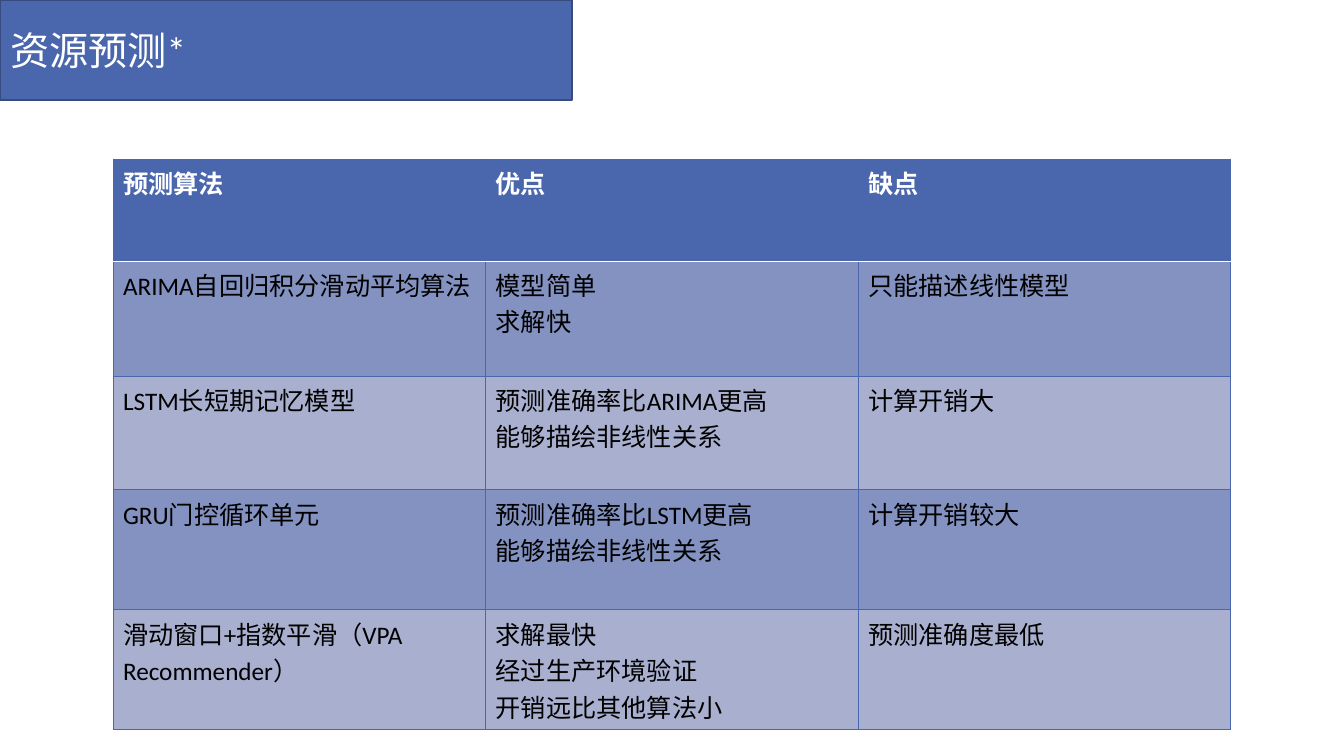
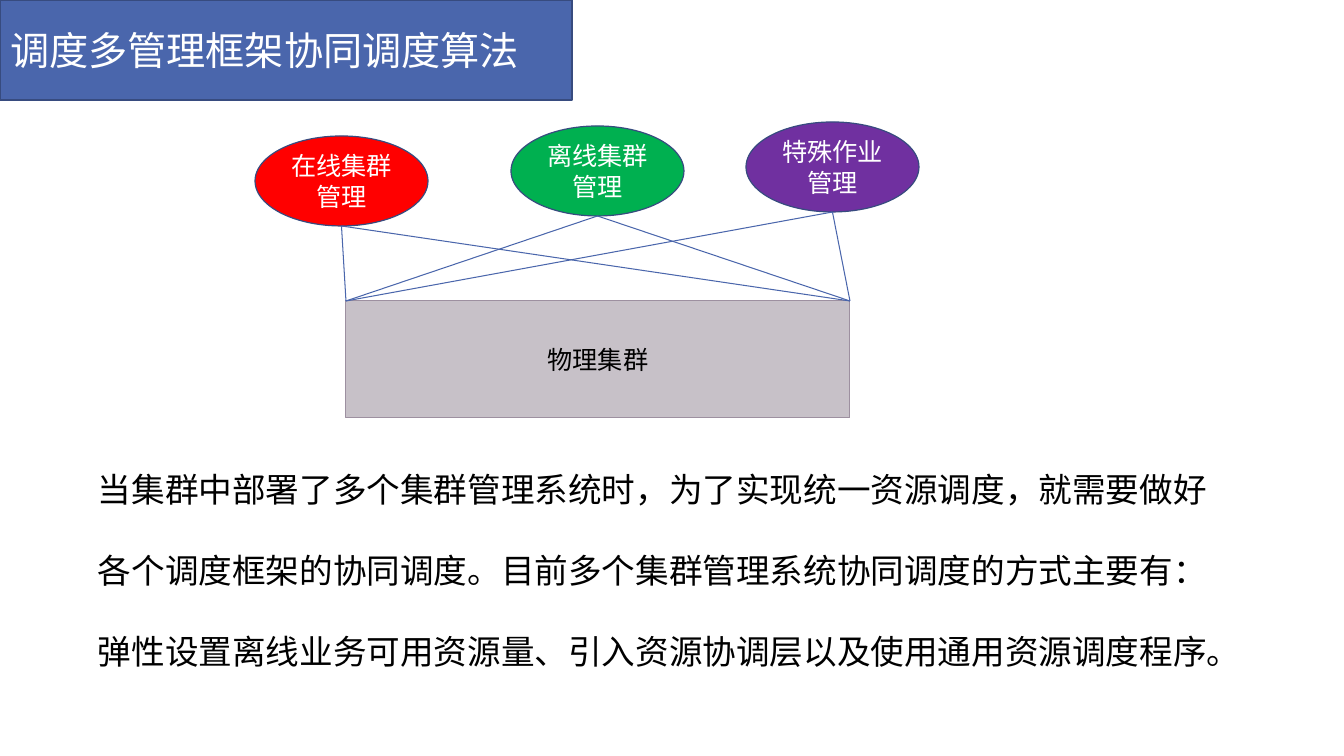
from dataclasses import dataclass
from itertools import product

from lxml import etree
from pptx import Presentation
from pptx.dml.color import RGBColor
from pptx.enum.shapes import MSO_CONNECTOR, MSO_SHAPE
from pptx.enum.text import MSO_ANCHOR, MSO_AUTO_SIZE, PP_ALIGN
from pptx.oxml.ns import qn
from pptx.util import Pt

LEFT, CENTER = PP_ALIGN.LEFT, PP_ALIGN.CENTER
TOP, MIDDLE = MSO_ANCHOR.TOP, MSO_ANCHOR.MIDDLE
NO_FIT = MSO_AUTO_SIZE.NONE
RECT, OVAL = MSO_SHAPE.RECTANGLE, MSO_SHAPE.OVAL
STRAIGHT = MSO_CONNECTOR.STRAIGHT
SCALE = 914400 / 100.8


@dataclass(frozen=True)
class Theme:
    blue: str = "4A66AC"
    edge: str = "374B7F"
    dark: str = "8392C0"
    light: str = "A9AFCE"
    gray: str = "C7C1C8"
    rim: str = "9D90A0"
    white: str = "FFFFFF"
    black: str = "000000"
    font: str = "Calibri"
    asian: str = "Noto Sans CJK SC"
    head: int = 28
    body: int = 24
    small: int = 18
    thin: float = 0.75
    line: float = 0.85
    loose: float = 2.0


THEME = Theme()

BAND = (0, 0, 572, 100)
TITLES = ["资源预测*", "调度多管理框架协同调度算法"]

ROWS = [
    ("预测算法", "优点", "缺点"),
    ("ARIMA自回归积分滑动平均算法", "模型简单\n求解快", "只能描述线性模型"),
    ("LSTM长短期记忆模型", "预测准确率比ARIMA更高\n能够描绘非线性关系", "计算开销大"),
    ("GRU门控循环单元", "预测准确率比LSTM更高\n能够描绘非线性关系", "计算开销较大"),
    ("滑动窗口+指数平滑（VPA Recommender）",
     "求解最快\n经过生产环境验证\n开销远比其他算法小", "预测准确度最低"),
]
GRID = (113, 159)
WIDE = 1118
TALL = [102, 115, 114, 120, 119]

NODES = [
    ("在线集群管理", 255, 136, "FF0000"),
    ("离线集群管理", 511, 126, "00B050"),
    ("特殊作业管理", 746, 122, "7030A0"),
]
NODE_W, NODE_H = 173, 90
BASE = ("物理集群", (346, 301, 504, 117))
NOTE_BOX = (88, 424, 1144, 240)
NOTE = ("当集群中部署了多个集群管理系统时，为了实现统一资源调度，就需要做好"
        "各个调度框架的协同调度。目前多个集群管理系统协同调度的方式主要有："
        "弹性设置离线业务可用资源量、引入资源协调层以及使用通用资源调度程序。")


def px(*nums):
    return [round(num * SCALE) for num in nums]


def write(frame, text, size=THEME.small, color=THEME.black, bold=False,
          align=LEFT, space=None, font=THEME.font):
    frame.word_wrap = True
    for spot, line in enumerate(text.split("\n")):
        para = frame.add_paragraph() if spot else frame.paragraphs[0]
        para.alignment = align
        para.line_spacing = space
        run = para.add_run()
        run.text = line
        run.font.size = Pt(size)
        run.font.bold = bold
        run.font.color.rgb = RGBColor.from_string(color)
        run.font.name = font
        ea = etree.SubElement(run.font._element, qn("a:ea"))
        ea.set("typeface", THEME.asian)


def paint(shape, fill, edge, width):
    shape.fill.solid()
    shape.fill.fore_color.rgb = RGBColor.from_string(fill)
    shape.line.color.rgb = RGBColor.from_string(edge)
    shape.line.width = Pt(width)


def block(slide, kind, box, text, fill, edge, width, **form):
    shape = slide.shapes.add_shape(kind, *px(*box))
    shape.shadow.inherit = False
    paint(shape, fill, edge, width)
    shape.text_frame.vertical_anchor = MIDDLE
    write(shape.text_frame, text, align=CENTER, **form)


def start(deck, title):
    slide = deck.slides.add_slide(deck.slide_layouts[5])
    band = slide.shapes.title
    band.left, band.top, band.width, band.height = px(*BAND)
    paint(band, THEME.blue, THEME.edge, THEME.line)
    band.text_frame.auto_size = NO_FIT
    band.text_frame.vertical_anchor = MIDDLE
    write(band.text_frame, title, size=THEME.head, color=THEME.white)
    return slide


def border(cell, side, color):
    line = etree.SubElement(cell._tc.get_or_add_tcPr(), qn("a:" + side))
    line.set("w", str(Pt(THEME.thin)))
    fill = etree.SubElement(line, qn("a:solidFill"))
    etree.SubElement(fill, qn("a:srgbClr")).set("val", color)


def draw_table(slide):
    count = len(ROWS[0])
    box = px(*GRID, WIDE, sum(TALL))
    table = slide.shapes.add_table(len(ROWS), count, *box).table
    for col in table.columns:
        col.width = px(WIDE / count)[0]
    for row, tall in zip(table.rows, TALL):
        row.height = px(tall)[0]
    for i, j in product(range(len(ROWS)), range(count)):
        cell = table.cell(i, j)
        for side in ("lnL", "lnR", "lnT", "lnB"):
            split = (i, side) in ((0, "lnB"), (1, "lnT"))
            border(cell, side, THEME.white if split else THEME.blue)
        shade = THEME.dark if i % 2 else THEME.light
        cell.fill.solid()
        cell.fill.fore_color.rgb = RGBColor.from_string(shade if i else THEME.blue)
        cell.vertical_anchor = TOP
        write(cell.text_frame, ROWS[i][j], bold=i == 0,
              color=THEME.black if i else THEME.white)


def link(slide, *ends):
    line = slide.shapes.add_connector(STRAIGHT, *px(*ends))
    line.line.color.rgb = RGBColor.from_string(THEME.blue)
    line.line.width = Pt(THEME.thin)
    etree.SubElement(line._element.spPr, qn("a:effectLst"))


def draw_nodes(slide):
    name, box = BASE
    left, top, width, _ = box
    block(slide, RECT, box, name, THEME.gray, THEME.rim, THEME.thin)
    for text, x, y, fill in NODES:
        block(slide, OVAL, (x, y, NODE_W, NODE_H), text, fill, THEME.edge,
              THEME.line, color=THEME.white)
        for end in (left, left + width):
            link(slide, x + NODE_W / 2, y + NODE_H, end, top)


def main():
    deck = Presentation()
    deck.slide_width, deck.slide_height = px(1344, 756)
    first, second = [start(deck, title) for title in TITLES]
    draw_table(first)
    draw_nodes(second)
    note = second.shapes.add_textbox(*px(*NOTE_BOX))
    write(note.text_frame, NOTE, size=THEME.body, space=THEME.loose,
          font=THEME.asian)
    deck.save("out.pptx")


if __name__ == "__main__":
    main()
